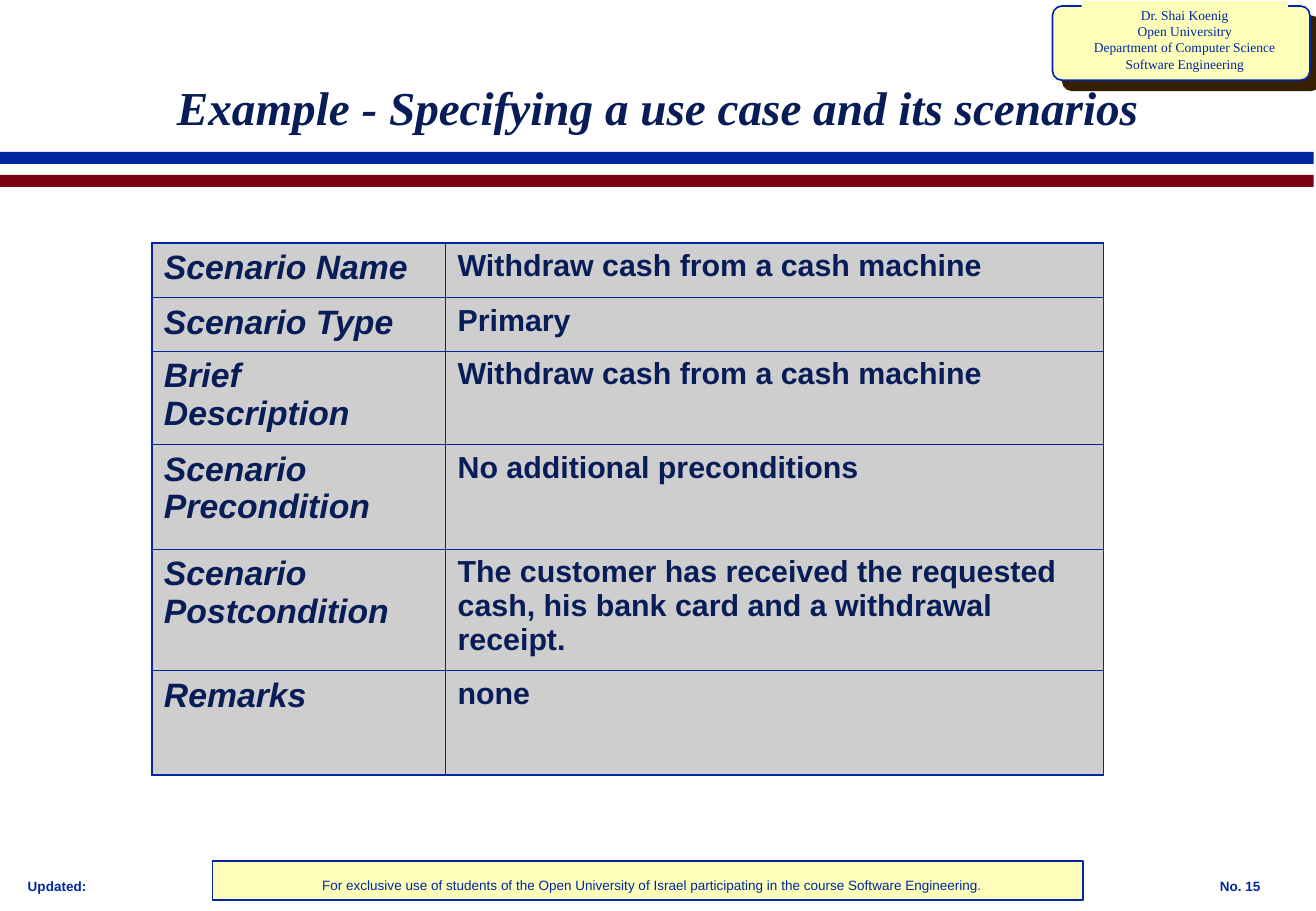
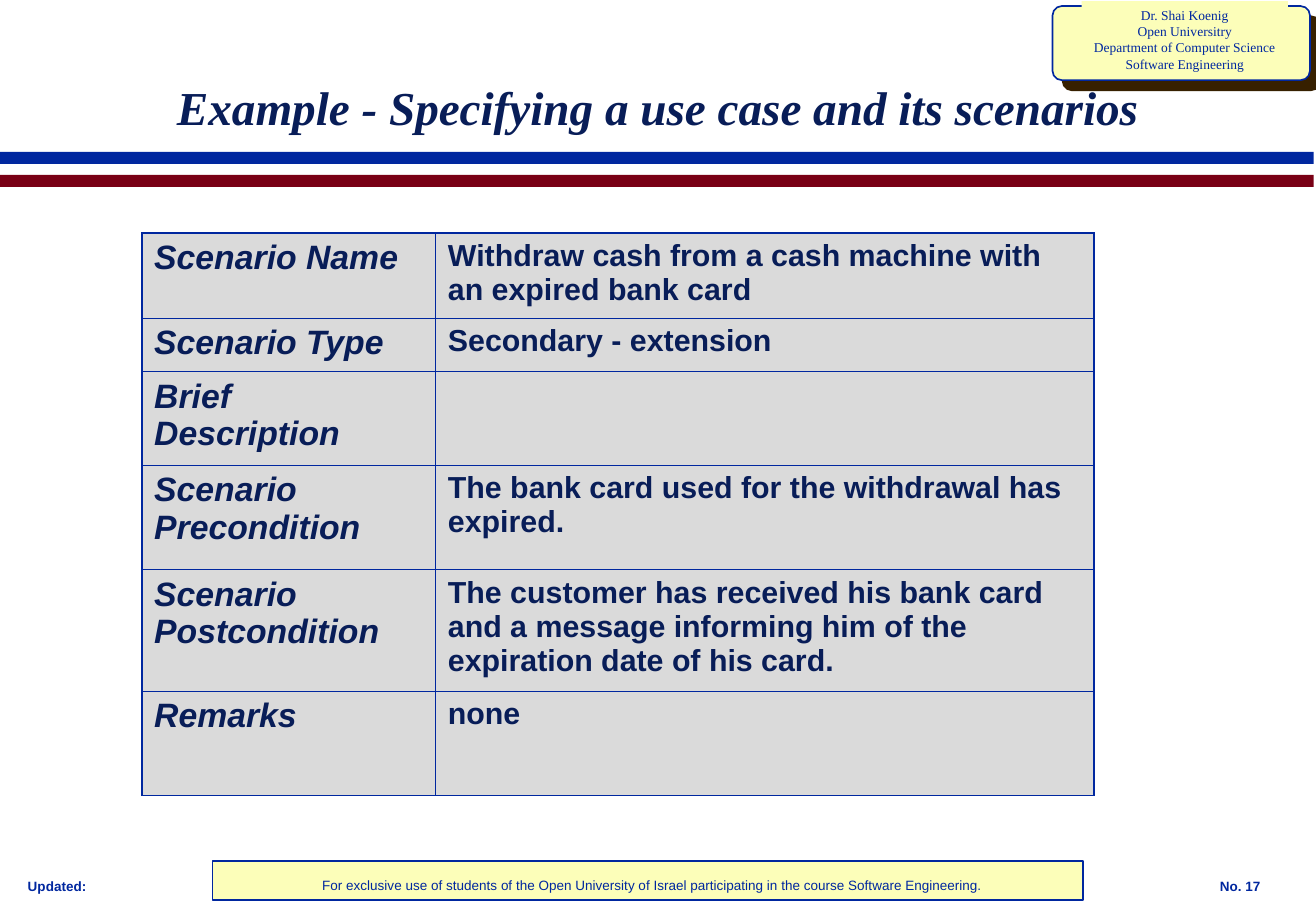
import pptx
import pptx.dml.color
import pptx.enum.shapes
import pptx.enum.text
import pptx.oxml
import pptx.oxml.ns
import pptx.util

SCALE = 9144  # EMU per px, 100 px to the inch
SLIDE_WIDTH, SLIDE_HEIGHT = 1084, 750
BLUE, NAVY, RED = "00279F", "081D58", "790015"
CREAM, SHADOW_BROWN = "FCFEB9", "372000"
SANS, SERIF = "Arial", "Times New Roman"
CENTER = pptx.enum.text.PP_ALIGN.CENTER
LEFT = pptx.enum.text.PP_ALIGN.LEFT
RECTANGLE = pptx.enum.shapes.MSO_SHAPE.RECTANGLE
ROUNDED = pptx.enum.shapes.MSO_SHAPE.ROUNDED_RECTANGLE

COLUMN_WIDTHS = [242, 542]
ROW_LABELS = ["Scenario Name", "Scenario Type", "Brief Description",
              "Scenario Precondition", "Scenario Postcondition", "Remarks"]
LOWER_ROW_HEIGHTS = [44, 77, 86, 100, 86]
THIN, THICK = 0.45, 1.08

TITLE = "Example - Specifying a use case and its scenarios"
AUTHOR = ("Dr. Shai Koenig\nOpen Universitry\n"
          "Department of Computer Science\nSoftware Engineering")
NOTICE = ("For exclusive use of students of the Open University of Israel "
          "participating in the course Software Engineering.")

SCENARIOS = [
    {"number": 15, "left": 125, "top": 200, "first_row": 45, "fill": "CECECE",
     "values": ["Withdraw cash from a cash machine",
                "Primary",
                "Withdraw cash from a cash machine",
                "No additional preconditions",
                "The customer has received the requested cash, "
                "his bank card and a withdrawal receipt.",
                "none"]},
    {"number": 17, "left": 117, "top": 192, "first_row": 70, "fill": "DADADA",
     "values": ["Withdraw cash from a cash machine with an expired bank card",
                "Secondary - extension",
                "",
                "The bank card used for the withdrawal has expired.",
                "The customer has received his bank card and a message "
                "informing him of the expiration date of his card.",
                "none"]},
]


def px(length):
    return pptx.util.Emu(length * SCALE)


def color(hex_code):
    return pptx.dml.color.RGBColor.from_string(hex_code)


def write(frame, text, size, ink, font=SANS, bold=False, italic=False, align=LEFT):
    frame.text = text
    for para in frame.paragraphs:
        para.alignment = align
        for span in para.runs:
            span.font.name = font
            span.font.size = pptx.util.Pt(size)
            span.font.bold = bold
            span.font.italic = italic
            span.font.color.rgb = color(ink)


def add_panel(slide, kind, left, top, width, height, fill, line=None):
    panel = slide.shapes.add_shape(kind, px(left), px(top), px(width), px(height))
    panel.shadow.inherit = False
    panel.fill.solid()
    panel.fill.fore_color.rgb = color(fill)
    if line:
        panel.line.color.rgb = color(line)
        panel.line.width = pptx.util.Pt(1)
    else:
        panel.line.fill.background()
    return panel


def add_text(slide, left, top, width, height, text, size, ink, **style):
    box = slide.shapes.add_textbox(px(left), px(top), px(width), px(height))
    box.text_frame.word_wrap = True
    write(box.text_frame, text, size, ink, **style)
    return box


def add_drop_shadow(shape, hex_code, distance):
    """Cast a sharp shadow to the lower right."""
    effects = shape._element.spPr.find(pptx.oxml.ns.qn("a:effectLst"))
    effects.append(pptx.oxml.parse_xml(
        f'<a:outerShdw {pptx.oxml.ns.nsdecls("a")} blurRad="0" '
        f'dist="{pptx.util.Pt(distance)}" dir="2700000" algn="ctr" rotWithShape="0">'
        f'<a:srgbClr val="{hex_code}"/></a:outerShdw>'))


def add_author_card(slide):
    card = add_panel(slide, ROUNDED, 867, 5, 212, 61, CREAM, BLUE)
    card.adjustments[0] = 0.125
    add_drop_shadow(card, SHADOW_BROWN, 8.5)
    label = add_panel(slide, RECTANGLE, 891, 1, 170, 63, CREAM)
    label.text_frame.word_wrap = False
    label.text_frame.vertical_anchor = pptx.enum.text.MSO_ANCHOR.TOP
    write(label.text_frame, AUTHOR, 8, BLUE, font=SERIF, align=CENTER)


def add_frame(slide, number):
    """Draw the bands, author card, footer and title shared by all slides."""
    add_panel(slide, RECTANGLE, 175, 709, 717, 32, CREAM, BLUE)
    for top, fill in [(125, BLUE), (144, RED)]:
        add_panel(slide, RECTANGLE, 0, top, 1082, 10, fill)
    add_author_card(slide)
    add_text(slide, 13, 718, 115, 23, "Updated:", 8, BLUE, bold=True)
    add_text(slide, 995, 718, 89, 23, f"No. {number}", 8, BLUE, bold=True)
    add_text(slide, 175, 717, 725, 24, NOTICE, 8, BLUE, align=CENTER)
    title = add_text(slide, 136, 50, 850, 75, TITLE, 28, NAVY,
                     font=SERIF, bold=True, italic=True)
    title.text_frame.vertical_anchor = pptx.enum.text.MSO_ANCHOR.MIDDLE


def set_borders(cell, widths):
    """Set left, right, top and bottom borders, in that order, in points."""
    properties = cell._tc.get_or_add_tcPr()
    for side, width in zip("LRTB", widths):
        properties.append(pptx.oxml.parse_xml(
            f'<a:ln{side} {pptx.oxml.ns.nsdecls("a")} w="{pptx.util.Pt(width)}">'
            f'<a:solidFill><a:srgbClr val="{BLUE}"/></a:solidFill></a:ln{side}>'))


def add_scenario_table(slide, left, top, first_row, fill, values):
    heights = [first_row] + LOWER_ROW_HEIGHTS
    table = slide.shapes.add_table(
        len(heights), len(COLUMN_WIDTHS), px(left), px(top),
        px(sum(COLUMN_WIDTHS)), px(sum(heights))).table
    table.first_row = table.horz_banding = False
    for column, width in zip(table.columns, COLUMN_WIDTHS):
        column.width = px(width)
    last = len(heights) - 1
    for index, (height, *texts) in enumerate(zip(heights, ROW_LABELS, values)):
        table.rows[index].height = px(height)
        for side, text in enumerate(texts):
            is_label = side == 0
            cell = table.cell(index, side)
            outer_edges = [is_label, not is_label, index == 0, index == last]
            set_borders(cell, [THICK if edge else THIN for edge in outer_edges])
            cell.fill.solid()
            cell.fill.fore_color.rgb = color(fill)
            write(cell.text_frame, text, 20 if is_label else 18, NAVY,
                  bold=True, italic=is_label)


def main():
    deck = pptx.Presentation()
    deck.slide_width, deck.slide_height = px(SLIDE_WIDTH), px(SLIDE_HEIGHT)
    for scenario in SCENARIOS:
        slide = deck.slides.add_slide(deck.slide_layouts[6])
        add_frame(slide, scenario["number"])
        add_scenario_table(slide, scenario["left"], scenario["top"],
                           scenario["first_row"], scenario["fill"],
                           scenario["values"])
    deck.save("out.pptx")


if __name__ == "__main__":
    main()
